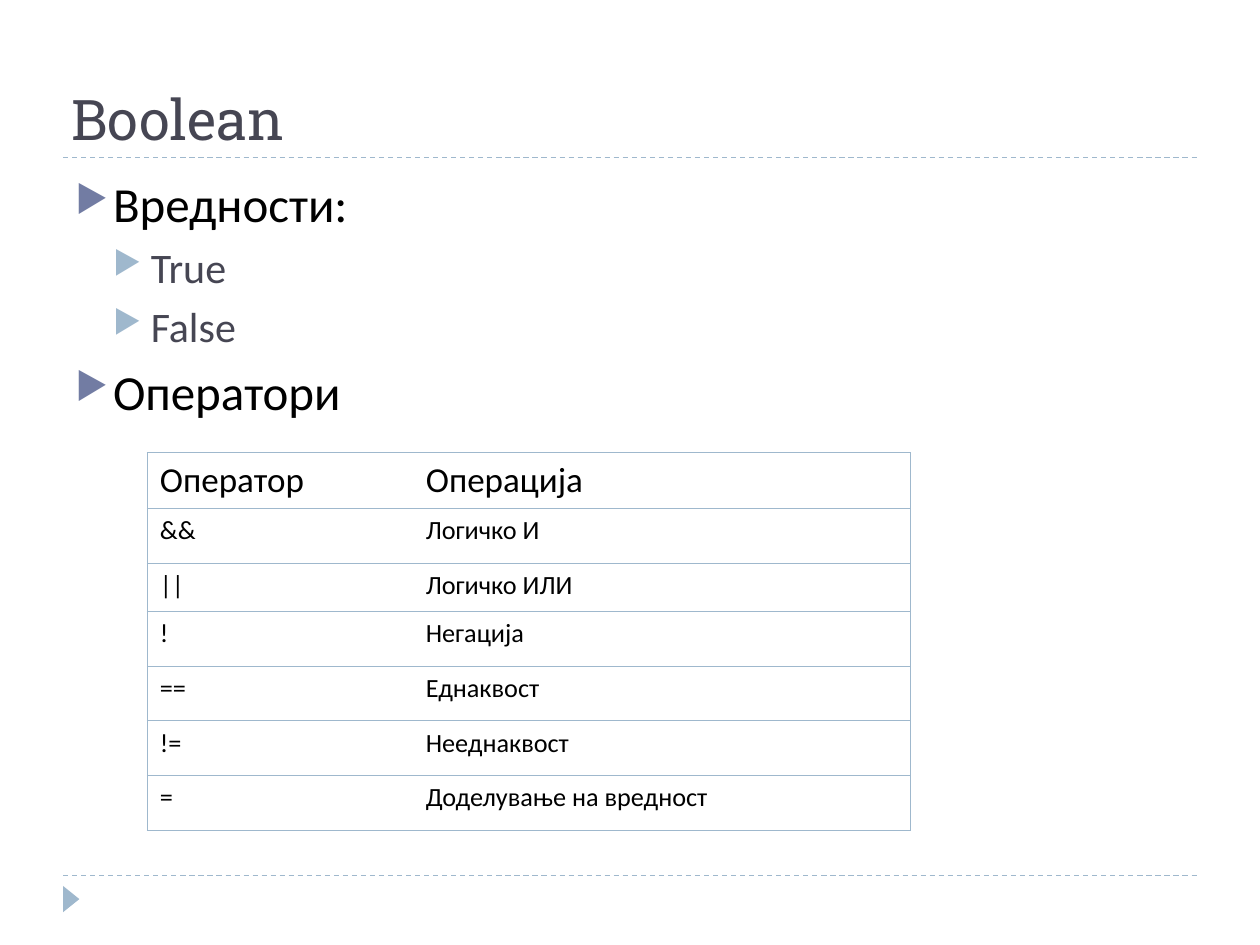
from lxml.etree import SubElement
from pptx import Presentation
from pptx.dml.color import RGBColor
from pptx.enum.dml import MSO_LINE
from pptx.enum.shapes import MSO_CONNECTOR, MSO_SHAPE
from pptx.enum.text import MSO_ANCHOR
from pptx.oxml.ns import qn
from pptx.util import Cm, Pt

BLACK = RGBColor(0x00, 0x00, 0x00)
WHITE = RGBColor(0xFF, 0xFF, 0xFF)
SLATE = RGBColor(0x46, 0x46, 0x53)
INDIGO = RGBColor(0x72, 0x7C, 0xA3)
SKY = RGBColor(0x9F, 0xB8, 0xCD)

LEVELS = [
    {"size": 28, "color": BLACK, "bullet": INDIGO, "before": 6},
    {"size": 24, "color": SLATE, "bullet": SKY, "before": 5},
]
OUTLINE = [("Вредности:", 0), ("True", 1), ("False", 1), ("Оператори", 0)]
OPERATORS = [
    ("Оператор", "Операција"),
    ("&&", "Логичко И"),
    ("||", "Логичко ИЛИ"),
    ("!", "Негација"),
    ("==", "Еднаквост"),
    ("!=", "Нееднаквост"),
    ("=", "Доделување на вредност"),
]
COLUMN_WIDTHS = [5.36, 10.03]
ROW_HEIGHTS = [1.13, 1.1, 0.98, 1.1, 1.1, 1.1, 1.1]


def write_text(para, text, *, size, color=BLACK, font="Calibri", before=0):
    para.space_before = Pt(before)
    span = para.add_run()
    span.text = text
    span.font.name = font
    span.font.size = Pt(size)
    span.font.color.rgb = color


def add_bullet(para, color, level):
    indent = Cm(0.76)
    properties = para._p.get_or_add_pPr()
    properties.set("marL", str(indent * (level + 1)))
    properties.set("indent", str(-indent))
    bullet_color = SubElement(properties, qn("a:buClr"))
    SubElement(bullet_color, qn("a:srgbClr"), val=str(color))
    SubElement(properties, qn("a:buSzPct"), val="76000")
    SubElement(properties, qn("a:buChar"), char="▶")


def set_borders(cell, visible):
    properties = cell._tc.get_or_add_tcPr()
    for side in "LRTB":
        border = SubElement(properties, qn(f"a:ln{side}"), w=str(Pt(0.45)))
        if side in visible:
            fill = SubElement(border, qn("a:solidFill"))
            SubElement(fill, qn("a:srgbClr"), val=str(SKY))
        else:
            SubElement(border, qn("a:noFill"))


class SlideBuilder:
    """Draws styled elements on the current slide."""

    def __init__(self, page):
        self.page = page
        self.accent = SKY
        self.heading_font = "Roboto Slab"

    def rule(self, top):
        line = self.page.shapes.add_connector(
            MSO_CONNECTOR.STRAIGHT, Cm(1.27), Cm(top), Cm(24.13), Cm(top))
        line.line.color.rgb = self.accent
        line.line.width = Pt(0.75)
        line.line.dash_style = MSO_LINE.DASH
        SubElement(line._element.spPr, qn("a:effectLst"))

    def marker(self, left, top, width, height):
        triangle = self.page.shapes.add_shape(
            MSO_SHAPE.ISOSCELES_TRIANGLE, Cm(left), Cm(top), Cm(width), Cm(height))
        triangle.rotation = 90
        triangle.shadow.inherit = False
        triangle.fill.solid()
        triangle.fill.fore_color.rgb = self.accent
        triangle.line.fill.background()

    def text_frame(self, left, top, width, height):
        box = self.page.shapes.add_textbox(Cm(left), Cm(top), Cm(width), Cm(height))
        box.text_frame.word_wrap = True
        return box.text_frame

    def title(self, text):
        frame = self.text_frame(1.19, 0, 22.86, 3.18)
        frame.vertical_anchor = MSO_ANCHOR.BOTTOM
        write_text(frame.paragraphs[0], text, size=32, color=SLATE, font=self.heading_font)

    def outline(self, items):
        frame = self.text_frame(1.27, 3.38, 22.94, 14.3)
        for index, (text, level) in enumerate(items):
            style = LEVELS[level]
            para = frame.add_paragraph() if index else frame.paragraphs[0]
            para.level = level
            add_bullet(para, style["bullet"], level)
            write_text(para, text, size=style["size"], color=style["color"],
                       before=style["before"] if index else 0)

    def table(self, left, top, rows):
        table = self.page.shapes.add_table(
            len(rows), len(COLUMN_WIDTHS), Cm(left), Cm(top),
            Cm(sum(COLUMN_WIDTHS)), Cm(sum(ROW_HEIGHTS))).table
        table.first_row = table.horz_banding = False
        for column, width in zip(table.columns, COLUMN_WIDTHS):
            column.width = Cm(width)
        for row_index, (row, height) in enumerate(zip(table.rows, ROW_HEIGHTS)):
            row.height = Cm(height)
            for cell, text, sides in zip(row.cells, rows[row_index], ("LTB", "RTB")):
                set_borders(cell, sides)
                cell.fill.solid()
                cell.fill.fore_color.rgb = WHITE
                write_text(cell.text_frame.paragraphs[0], text,
                           size=15 if row_index else 20)


def main():
    deck = Presentation()
    deck.slide_width, deck.slide_height = Cm(25.4), Cm(19.05)
    builder = SlideBuilder(deck.slides.add_slide(deck.slide_layouts[6]))
    builder.rule(17.65)
    builder.rule(3.18)
    builder.marker(1.17, 17.96, 0.53, 0.33)
    builder.title("Boolean")
    builder.outline(OUTLINE)
    builder.table(2.97, 9.12, OPERATORS)
    deck.save("out.pptx")


if __name__ == "__main__":
    main()
